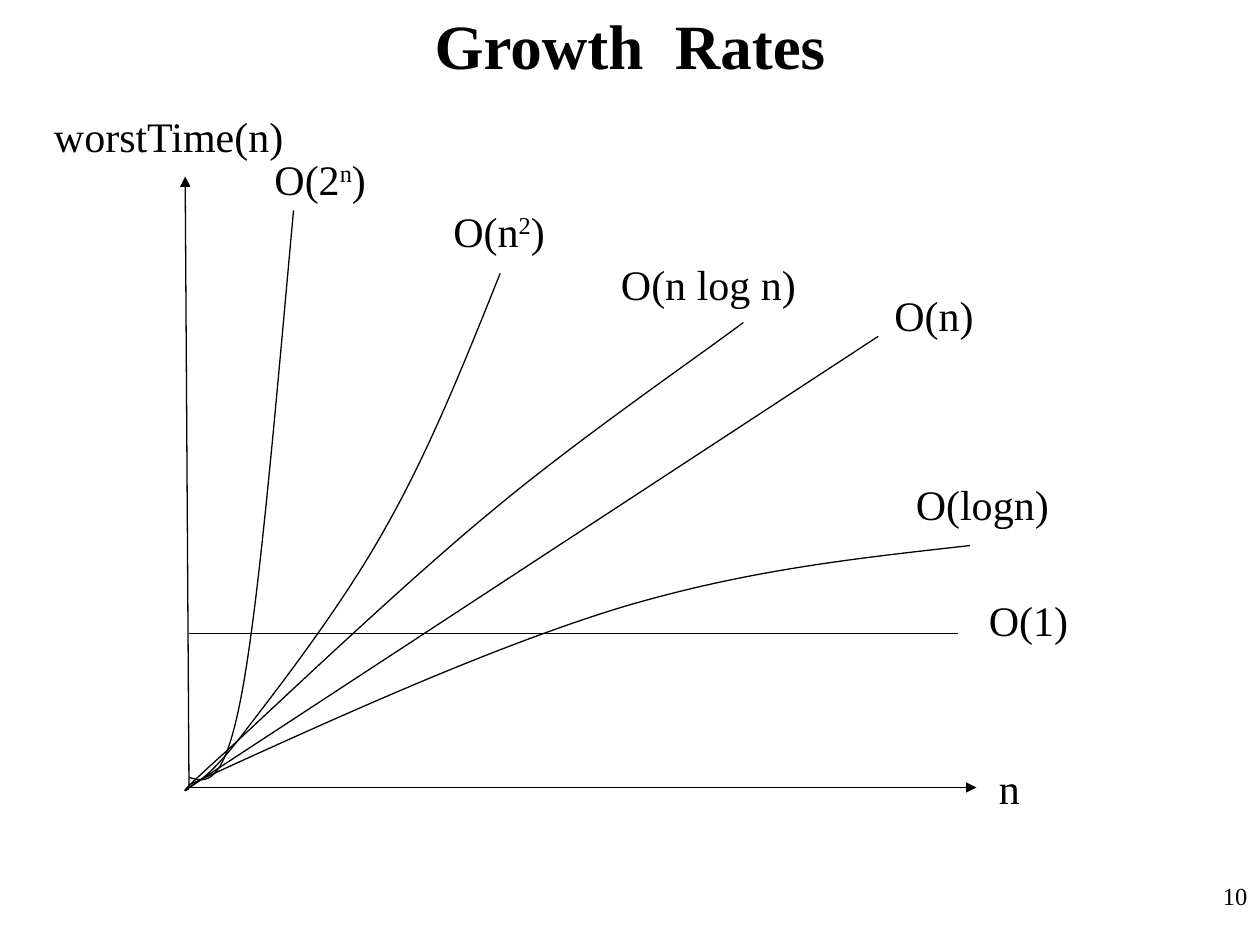
from pptx import Presentation
from pptx.util import Inches, Pt
from pptx.dml.color import RGBColor as RGB
from pptx.enum.shapes import MSO_CONNECTOR as Conn
from pptx.enum.text import PP_ALIGN as Align, MSO_AUTO_SIZE as Fit
from pptx.oxml.ns import qn
from lxml.etree import SubElement as Sub

INK = {"text": "000000", "line": "000000"}
FONT = "Times New Roman"

deck = Presentation()
deck.slide_width, deck.slide_height = Inches(10), Inches(7.5)
slide = deck.slides.add_slide(deck.slide_layouts[6])
shapes = slide.shapes


def label(parts, x, y, w, h=0.5, size=24, bold=False, align=Align.LEFT):
    """Add a text box; the second part, if any, is raised."""
    box = shapes.add_textbox(Inches(x), Inches(y), Inches(w), Inches(h))
    frame = box.text_frame
    frame.word_wrap = True
    frame.auto_size = Fit.NONE
    para = frame.paragraphs[0]
    para.alignment = align
    for i, part in enumerate(parts):
        run = para.add_run()
        run.text = part
        font = run.font
        font.name, font.size, font.bold = FONT, Pt(size), bold
        font.color.rgb = RGB.from_string(INK["text"])
        if i == 1:
            run._r.get_or_add_rPr().set("baseline", "30000")


def stroke(shape):
    """Give a line or curve its thin stroke without a shadow."""
    shape.line.color.rgb = RGB.from_string(INK["line"])
    shape.line.width = Pt(0.74)
    Sub(shape._element.spPr, qn("a:effectLst"))


# Straight lines: start, end, arrow
lines = [
    ((1.5, 5.03), (7.6, 5.03), False),    # O(1)
    ((1.47, 6.27), (6.97, 2.67), False),  # O(n)
    ((1.5, 6.25), (1.47, 1.4), True),     # time axis
    ((1.5, 6.25), (7.75, 6.25), True),    # n axis
]
for start, end, arrow in lines:
    line = shapes.add_connector(Conn.STRAIGHT, *map(Inches, start + end))
    stroke(line)
    if arrow:
        Sub(line.line._get_or_add_ln(), qn("a:tailEnd"), type="triangle")

# Curves: start point, then two handles and an end per Bezier piece
curves = [
    # O(log n)
    [(1.5, 6.23), (2.68, 5.69), (3.87, 5.15), (4.9, 4.83),
     (5.93, 4.52), (6.82, 4.43), (7.7, 4.33)],
    # O(n log n)
    [(1.5, 6.26), (1.45, 6.29), (1.4, 6.32), (1.8, 5.96), (2.2, 5.59),
     (3.22, 4.62), (3.9, 4.06), (4.58, 3.49), (5.57, 2.81), (5.9, 2.56)],
    # O(n squared)
    [(1.47, 6.27), (1.59, 6.2), (1.71, 6.12), (1.97, 5.77), (2.24, 5.42),
     (2.74, 4.77), (3.07, 4.17), (3.41, 3.57), (3.69, 2.87), (3.97, 2.17)],
    # O(2 to the n)
    [(1.5, 6.17), (1.64, 6.21), (1.78, 6.25), (1.92, 5.5),
     (2.06, 4.75), (2.19, 3.21), (2.33, 1.67)],
]
for points in curves:
    start, *rest = [(Inches(x), Inches(y)) for x, y in points]
    form = shapes.build_freeform(*start)
    form.add_line_segments(rest, close=False)
    curve = form.convert_to_shape()
    curve.fill.background()
    stroke(curve)
    # Join each three straight steps into one Bezier piece
    track = curve._element.spPr.find(".//" + qn("a:path"))
    steps = track.findall(qn("a:lnTo"))
    for i in range(0, len(steps), 3):
        piece = Sub(track, qn("a:cubicBezTo"))
        for step in steps[i:i + 3]:
            piece.append(step[0])
            track.remove(step)

# Title and slide number
label(["Growth  Rates"], 0, 0, 10, 0.7, size=36, bold=True, align=Align.CENTER)
label(["10"], 9.56, 6.94, 0.44, 0.39, size=14, align=Align.RIGHT)

# Axis and curve labels: parts, left, top, width
labels = [
    (["worstTime(n)"], 0.33, 0.83, 2.33),
    (["n"], 7.83, 6, 0.58),
    (["O(2", "n", ")"], 2.08, 1.17, 1.47),
    (["O(n", "2", ")"], 3.5, 1.58, 1.5),
    (["O(n log n)"], 4.83, 2, 2.17),
    (["O(n)"], 7, 2.25, 1.56),
    (["O(logn)"], 7.17, 3.75, 2.06),
    (["O(1)"], 7.75, 4.67, 1.17),
]
for item in labels:
    label(*item)

deck.save("out.pptx")
